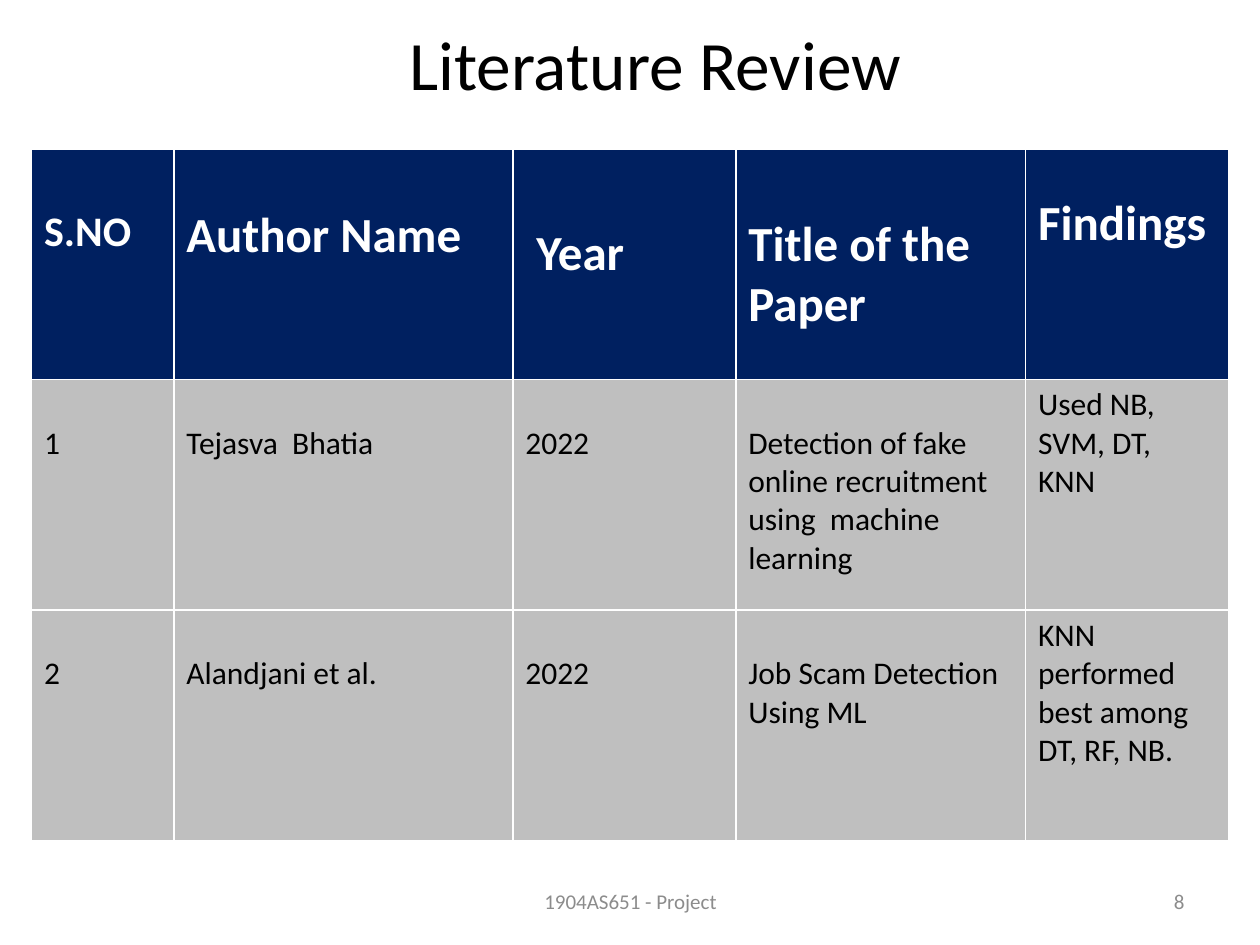
from dataclasses import dataclass
from pptx import Presentation
from pptx.dml.color import RGBColor
from pptx.enum.text import MSO_ANCHOR as Anchor, PP_ALIGN as Align
from pptx.slide import Slide
from pptx.util import Inches, Pt

WIDTH, HEIGHT = 10, 7.5


def color(code):
    """Turn a hex string into a colour."""
    return RGBColor.from_string(code)


def across(percent):
    """Length as a percentage of the slide width."""
    return Inches(WIDTH * percent / 100)


def down(percent):
    """Length as a percentage of the slide height."""
    return Inches(HEIGHT * percent / 100)


@dataclass
class ReviewSlide:
    """Style of the review and the slide being filled."""
    slide: Slide
    font: str = "Calibri"
    ink: str = "000000"
    muted: str = "8C8C8C"
    header_fill: str = "002060"
    header_ink: str = "FFFFFF"
    body_fill: str = "BFBFBF"
    body_size: int = 18

    def add_lines(self, frame, text, size, ink, align=Align.LEFT, bold=False):
        """Fill a text frame, one paragraph for each line."""
        frame.word_wrap = True
        for index, line in enumerate(text.split("\n")):
            paragraph = frame.add_paragraph() if index else frame.paragraphs[0]
            paragraph.alignment = align
            run = paragraph.add_run()
            run.text = line
            run.font.name, run.font.size, run.font.bold = self.font, Pt(size), bold
            run.font.color.rgb = color(ink)

    def label(self, text, left, top, width, height, size, ink, align=Align.CENTER):
        """Add a vertically centred text box."""
        box = self.slide.shapes.add_textbox(
            across(left), down(top), across(width), down(height))
        box.text_frame.vertical_anchor = Anchor.MIDDLE
        self.add_lines(box.text_frame, text, size, ink, align)

    def cell(self, cell, text, size, fill, ink, lead, bold=False):
        """Fill a table cell, lowering its text by one line of the lead size."""
        cell.fill.solid()
        cell.fill.fore_color.rgb = color(fill)
        cell.margin_top = Inches(0.05) + Pt(1.22 * lead)
        self.add_lines(cell.text_frame, text, size, ink, bold=bold)

    def table(self, headers, papers, left, top, widths, row_height):
        """Add the table of reviewed papers."""
        count = len(papers) + 1
        table = self.slide.shapes.add_table(
            count, len(widths), across(left), down(top),
            across(sum(widths)), down(row_height * count)).table
        for column, width in zip(table.columns, widths):
            column.width = across(width)
        for row in table.rows:
            row.height = down(row_height)
        for column, (heading, size, lead) in enumerate(headers):
            self.cell(table.cell(0, column), heading, size,
                      self.header_fill, self.header_ink, lead, bold=True)
        for row, paper in enumerate(papers, 1):
            for column, detail in enumerate(paper):
                lead = 0 if column == len(widths) - 1 else self.body_size
                self.cell(table.cell(row, column), detail, self.body_size,
                          self.body_fill, self.ink, lead)


def main():
    """Build the literature review slide."""
    deck = Presentation()
    deck.slide_width, deck.slide_height = Inches(WIDTH), Inches(HEIGHT)
    review = ReviewSlide(deck.slides.add_slide(deck.slide_layouts[6]))

    headers = [("S.NO", 24, 24), ("Author Name", 28, 24), (" Year", 28, 32),
               ("Title of the Paper", 28, 28), ("Findings", 28, 18)]
    papers = [
        ("1", "Tejasva  Bhatia", "2022",
         "Detection of fake online recruitment using  machine learning",
         "Used NB, SVM, DT,\nKNN"),
        ("2", "Alandjani et al.", "2022", "Job Scam Detection Using ML",
         "KNN performed best among DT, RF, NB."),
    ]
    review.label("Literature Review", 9.2, 0.5, 85.6, 12.4, 39.6, review.ink)
    review.label("8", 71.7, 92.7, 23.3, 5.3, 12, review.muted, Align.RIGHT)
    review.label("1904AS651 - Project", 34.2, 92.7, 31.7, 5.3, 12, review.muted)
    review.table(headers, papers, 2.5, 15.75, [11.3, 26.9, 17.7, 23, 16.1], 24.4)
    deck.save("out.pptx")


if __name__ == "__main__":
    main()
